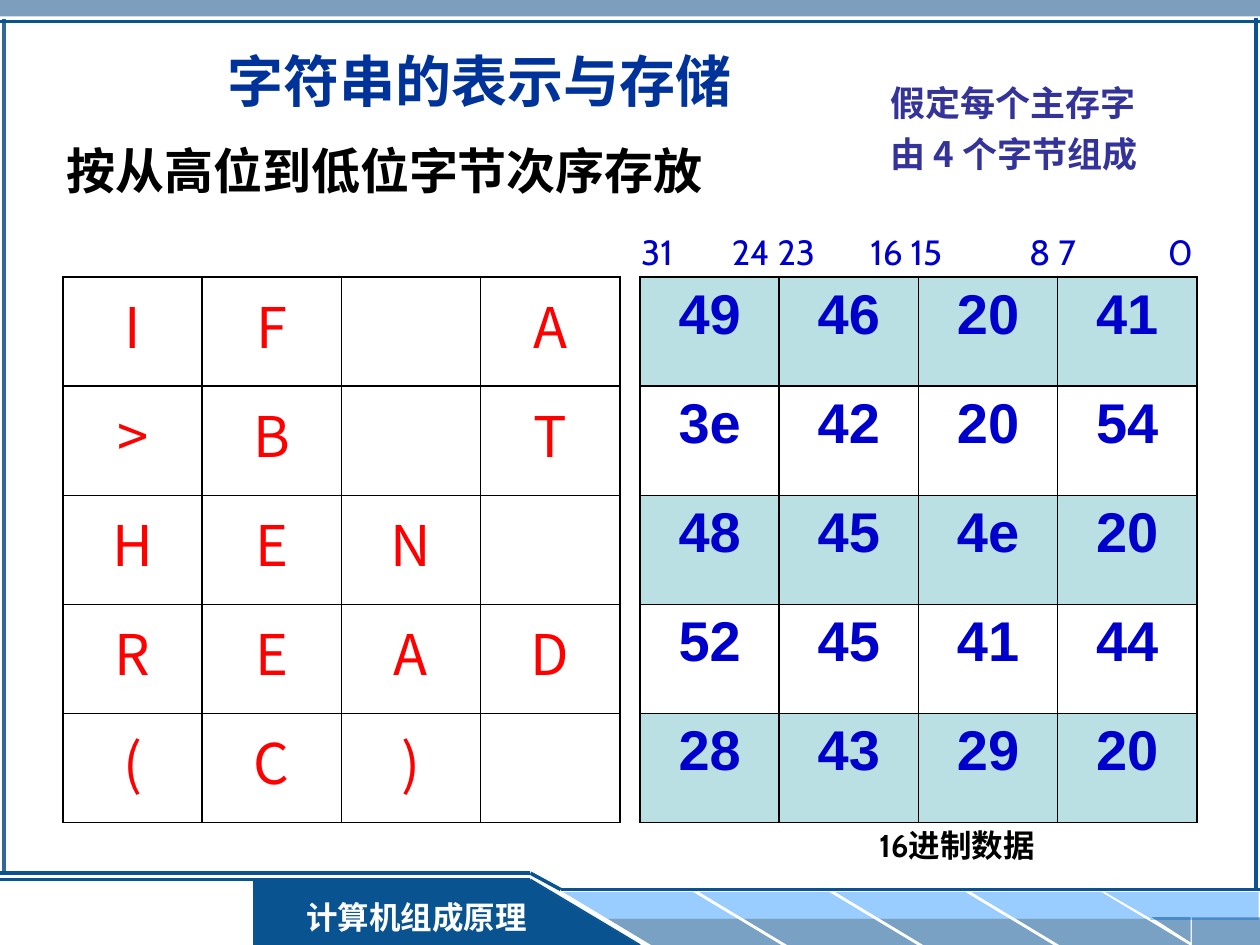
from lxml.etree import SubElement
from pptx import Presentation
from pptx.dml.color import RGBColor
from pptx.enum.shapes import MSO_CONNECTOR, MSO_SHAPE as SHAPE
from pptx.enum.text import MSO_ANCHOR, PP_ALIGN
from pptx.oxml.ns import qn
from pptx.util import Inches, Pt

STEEL = RGBColor(0x33, 0x66, 0x99)
NAVY = RGBColor(0x09, 0x53, 0x91)
SKY = RGBColor(0x99, 0xCC, 0xFF)
WHITE = RGBColor(0xFF, 0xFF, 0xFF)
BLACK = RGBColor(0, 0, 0)
TITLE_BLUE = RGBColor(0, 0x33, 0x99)
NOTE_BLUE = RGBColor(0x33, 0x33, 0x99)
HEX_BLUE = RGBColor(0, 0, 0xCC)
RED = RGBColor(0xFF, 0, 0)
BAND = RGBColor(0xBB, 0xE0, 0xE3)
CJK = "Noto Sans CJK SC"

# Content
TITLE = "字符串的表示与存储"
SUBTITLE = "按从高位到低位字节次序存放"
NOTE = ["假定每个主存字", "由 4 个字节组成"]
CAPTION = "16进制数据"
COURSE = "计算机组成原理"
CHARACTERS = [
    ["I", "F", "", "A"],
    [">", "B", "", "T"],
    ["H", "E", "N", ""],
    ["R", "E", "A", "D"],
    ["(", "C", ")", ""],
]
HEX_BYTES = [
    ["49", "46", "20", "41"],
    ["3e", "42", "20", "54"],
    ["48", "45", "4e", "20"],
    ["52", "45", "41", "44"],
    ["28", "43", "29", "20"],
]
# Bit numbers: text, left, width
BIT_LABELS = [("31", 4.99, 0.52), ("24 23", 5.71, 0.9), ("16 15", 6.81, 1.1),
              ("8 7", 8.07, 0.79), ("0", 9.17, 0.36)]
TABLE_TOP, TABLE_WIDTH, TABLE_HEIGHT = 2.2, 4.42, 4.33

presentation = Presentation()
presentation.slide_width, presentation.slide_height = Inches(10), Inches(7.5)
slide = presentation.slides.add_slide(presentation.slide_layouts[6])
shapes = slide.shapes


def style(paragraph, size, font_name, color, bold=False, align=PP_ALIGN.LEFT):
    paragraph.alignment = align
    font = paragraph.font
    font.size, font.name, font.bold = Pt(size), font_name, bold
    font.color.rgb = color
    SubElement(font._element, qn("a:ea")).set("typeface", CJK)


def add_text(lines, left, top, width, height, size, font_name, color,
             bold=False, align=PP_ALIGN.LEFT, wrap=False, anchor=MSO_ANCHOR.TOP):
    box = shapes.add_textbox(Inches(left), Inches(top), Inches(width), Inches(height))
    frame = box.text_frame
    frame.word_wrap, frame.vertical_anchor = wrap, anchor
    frame.text = "\n".join(lines)
    for index, paragraph in enumerate(frame.paragraphs):
        if index:
            paragraph.space_before = Pt(5)
        style(paragraph, size, font_name, color, bold, align)


def add_block(kind, left, top, width, height, color, opacity=100, flip="", slant=None):
    shape = shapes.add_shape(kind, Inches(left), Inches(top), Inches(width), Inches(height))
    shape.shadow.inherit = False
    shape.fill.solid()
    shape.fill.fore_color.rgb = color
    shape.line.fill.background()
    if slant:
        shape.adjustments[0] = slant
    for direction in flip:
        shape._element.spPr.find(qn("a:xfrm")).set("flip" + direction, "1")
    if opacity < 100:
        rgb = shape._element.spPr.find(qn("a:solidFill")).find(qn("a:srgbClr"))
        SubElement(rgb, qn("a:alpha")).set("val", str(opacity * 1000))


def add_line(x1, y1, x2, y2, width=2, color=NAVY):
    line = shapes.add_connector(MSO_CONNECTOR.STRAIGHT, Inches(x1), Inches(y1),
                                Inches(x2), Inches(y2))
    line.line.color.rgb, line.line.width = color, Pt(width)
    SubElement(line._element.spPr, qn("a:effectLst"))


def add_border(cell):
    properties = cell._tc.get_or_add_tcPr()
    for position, side in enumerate(("lnL", "lnR", "lnT", "lnB")):
        border = SubElement(properties, qn("a:" + side))
        border.set("w", str(Pt(1.08)))
        fill = SubElement(border, qn("a:solidFill"))
        SubElement(fill, qn("a:srgbClr")).set("val", str(BLACK))
        properties.insert(position, border)


def add_grid(rows, left, font_name, color, bold=False, banded=False):
    table = shapes.add_table(len(rows), len(rows[0]), Inches(left), Inches(TABLE_TOP),
                             Inches(TABLE_WIDTH), Inches(TABLE_HEIGHT)).table
    table.first_row = table.horz_banding = False
    for r, row in enumerate(rows):
        for c, value in enumerate(row):
            cell = table.cell(r, c)
            cell.text = value
            style(cell.text_frame.paragraphs[0], 32, font_name, color, bold, PP_ALIGN.CENTER)
            if banded and r % 2 == 0:
                cell.fill.solid()
                cell.fill.fore_color.rgb = BAND
            else:
                cell.fill.background()
            add_border(cell)


# Top bar and left edge
add_block(SHAPE.RECTANGLE, 0, 0, 10, 0.13, STEEL, 63)
add_line(0.03, 0.15, 0.03, 6.93, color=STEEL)

# Footer: course tab and slanted stripes
add_block(SHAPE.RECTANGLE, 2.01, 6.98, 2.2, 0.52, NAVY)
add_line(5.08, 7.5, 4.21, 6.98, 1)
add_line(4.21, 6.98, 0, 6.98, 1.5)
add_line(-0.01, 6.93, 4.21, 6.93)
for index in range(4):
    left = 4.47 + 1.08 * index
    add_block(SHAPE.PARALLELOGRAM, left, 7.08, 1.38, 0.21, SKY, flip="H", slant=1.66)
    add_block(SHAPE.PARALLELOGRAM, left + 0.35, 7.29, 1.38, 0.21, NAVY, 54, "H", 1.66)
add_block(SHAPE.RECTANGLE, 9.13, 7.08, 0.86, 0.22, SKY)
add_block(SHAPE.RIGHT_TRIANGLE, 8.77, 7.08, 0.38, 0.22, SKY, flip="HV")
add_block(SHAPE.RECTANGLE, 9.46, 7.28, 0.54, 0.22, NAVY, 54)
add_block(SHAPE.RIGHT_TRIANGLE, 9.14, 7.28, 0.31, 0.2, NAVY, 54, "HV")
add_line(4.45, 7.06, 10, 7.06)
add_text([COURSE], 2.28, 7.08, 2.05, 0.4, 18, "Times New Roman", WHITE, True,
         PP_ALIGN.CENTER, wrap=True)
add_block(SHAPE.RIGHT_TRIANGLE, 4.2, 6.98, 0.87, 0.52, NAVY)
add_line(4.21, 6.93, 4.45, 7.06)

# Top and right edges
add_line(0, 0.17, 10, 0.17)
add_line(9.97, 0.14, 9.97, 7.07)

# Title, tables and labels
add_text([TITLE], 0.35, 0.28, 6.92, 0.71, 32, "Arial", TITLE_BLUE, True,
         PP_ALIGN.CENTER, wrap=True, anchor=MSO_ANCHOR.MIDDLE)
add_grid(CHARACTERS, 0.5, CJK, RED)
add_grid(HEX_BYTES, 5.08, "Arial", HEX_BLUE, bold=True, banded=True)
for text, left, width in BIT_LABELS:
    add_text([text], left, 1.78, width, 0.44, 20, "Cabin", HEX_BLUE, wrap=len(text) > 2)
add_text([SUBTITLE], 0.43, 1.07, 5.83, 0.57, 28, "Cabin", BLACK, True, wrap=True)
add_text([CAPTION], 6.88, 6.51, 1.54, 0.4, 18, "Cabin", BLACK, True)
add_text(NOTE, 6.97, 0.6, 2.54, 0.84, 20, CJK, NOTE_BLUE, True, wrap=True)

presentation.save("out.pptx")
